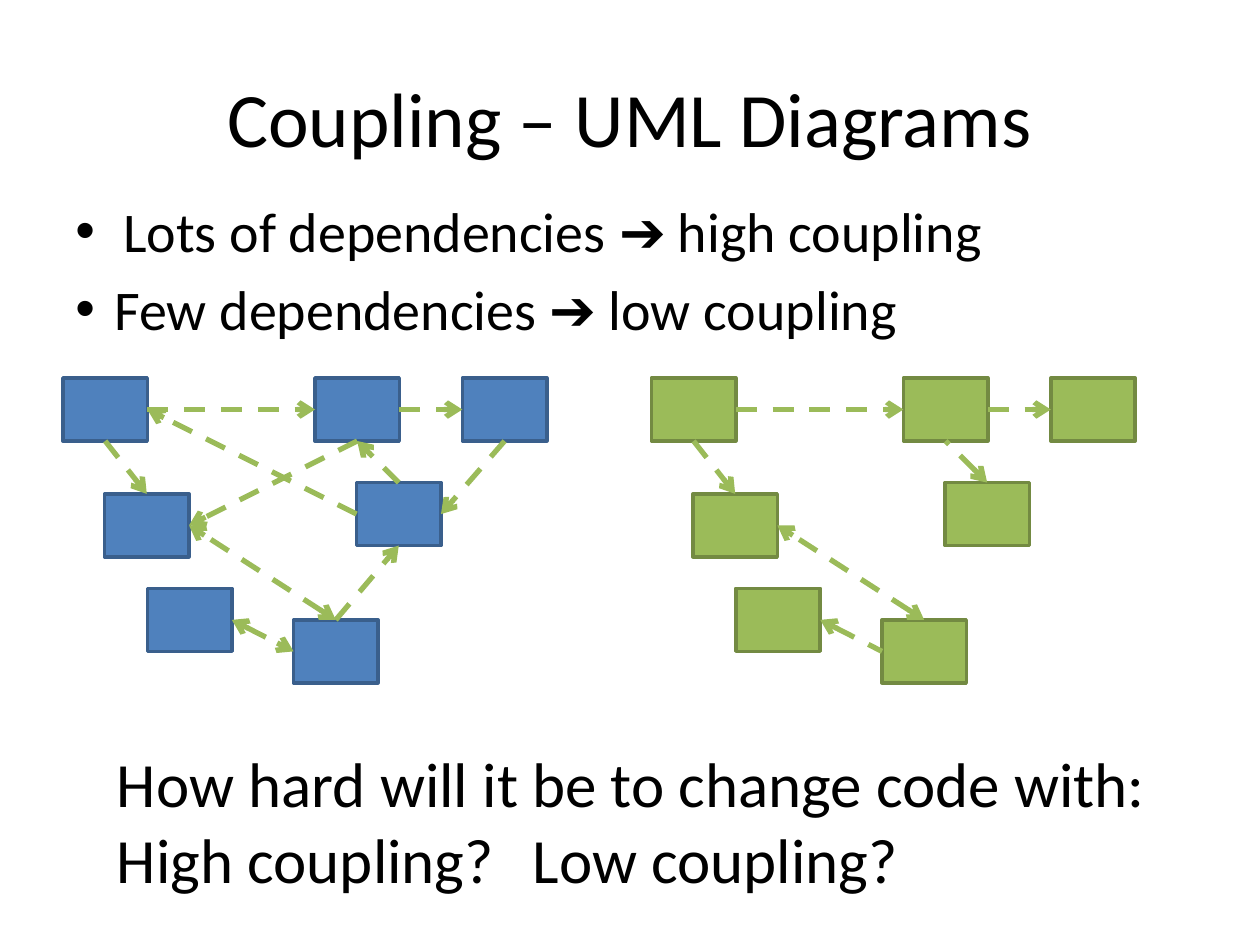
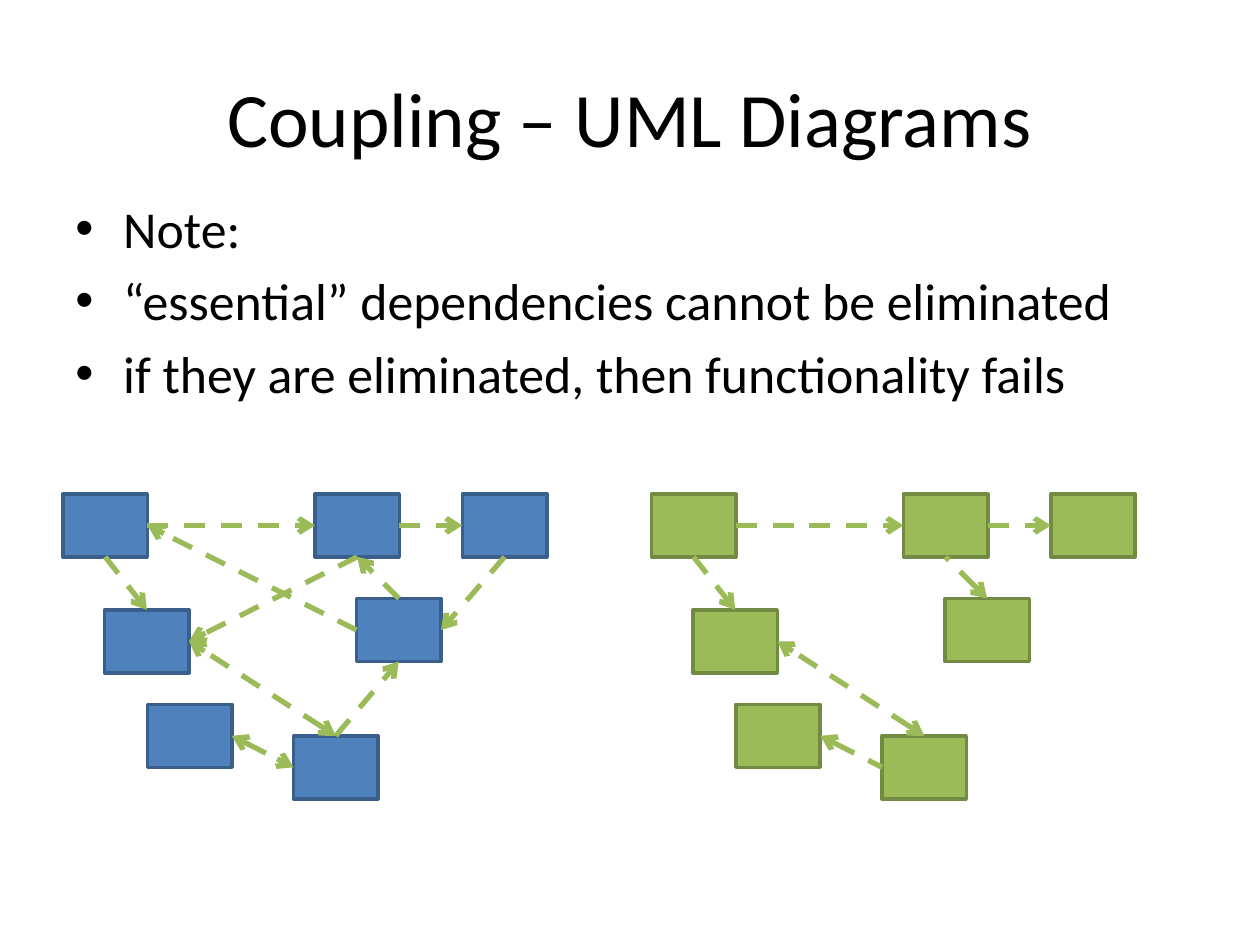
from typing import NamedTuple

from lxml import etree
from pptx import Presentation
from pptx.dml.color import RGBColor
from pptx.enum.dml import MSO_LINE
from pptx.enum.shapes import MSO_CONNECTOR, MSO_SHAPE
from pptx.enum.text import MSO_ANCHOR, PP_ALIGN
from pptx.oxml.ns import qn
from pptx.util import Inches, Pt

RECT = MSO_SHAPE.RECTANGLE
STRAIGHT = MSO_CONNECTOR.STRAIGHT
DASH = MSO_LINE.DASH
MIDDLE = MSO_ANCHOR.MIDDLE
CENTER = PP_ALIGN.CENTER
TOP, LEFT, BOTTOM, RIGHT = range(4)
HEAD, TAIL = ("headEnd",), ("tailEnd",)
BOTH = HEAD + TAIL

FONT = "Calibri"
BLACK, ARROW_GREEN = "000000", "9BBB59"
TITLE = "Coupling – UML Diagrams"
BOX_W, BOX_H = 0.67, 0.5
CLASS_BOXES = {
    "corner": (0, 0),
    "left": (0.33, 0.92),
    "base": (1.83, 1.92),
    "leaf": (0.67, 1.67),
    "hub": (2, 0),
    "right": (2.33, 0.83),
    "far": (3.17, 0),
}


class Dependency(NamedTuple):
    start: str
    start_side: int
    end: str
    end_side: int
    arrows: tuple = TAIL


class Diagram(NamedTuple):
    left: float
    fill: str
    border: str
    dependencies: list


class Bullet(NamedTuple):
    text: str
    indent: float = 0.38


SHARED = [
    Dependency("corner", RIGHT, "hub", LEFT),
    Dependency("corner", BOTTOM, "left", TOP),
    Dependency("base", TOP, "left", RIGHT, BOTH),
    Dependency("hub", RIGHT, "far", LEFT),
]
HIGH_COUPLING = Diagram(0.5, "4F81BD", "3A5F8C", SHARED + [
    Dependency("hub", BOTTOM, "left", RIGHT),
    Dependency("leaf", RIGHT, "base", LEFT, BOTH),
    Dependency("base", TOP, "right", BOTTOM),
    Dependency("far", BOTTOM, "right", RIGHT),
    Dependency("right", TOP, "hub", BOTTOM),
    Dependency("right", LEFT, "corner", RIGHT),
])
LOW_COUPLING = Diagram(5.17, "9BBB59", "738A42", SHARED + [
    Dependency("leaf", RIGHT, "base", LEFT, HEAD),
    Dependency("right", TOP, "hub", BOTTOM, HEAD),
])


def rgb(color: str) -> RGBColor:
    return RGBColor.from_string(color)


def add_run(p, text: str, size: float) -> None:
    r = p.add_run()
    r.text = text
    r.font.name = FONT
    r.font.size = Pt(size)
    r.font.color.rgb = rgb(BLACK)


def add_text_box(s, left: float, top: float, width: float, height: float):
    sp = s.shapes.add_textbox(Inches(left), Inches(top), Inches(width), Inches(height))
    sp.text_frame.word_wrap = True
    return sp.text_frame


def next_paragraph(tf, index: int):
    return tf.add_paragraph() if index else tf.paragraphs[0]


def add_title(s) -> None:
    sp = s.shapes.title
    sp.left, sp.top, sp.width, sp.height = map(Inches, (0.5, 0.3, 9, 1.25))
    tf = sp.text_frame
    tf.vertical_anchor = MIDDLE
    p = tf.paragraphs[0]
    p.alignment = CENTER
    add_run(p, TITLE, 44)


def add_bullets(s, bullets: list[Bullet], size: float) -> None:
    tf = add_text_box(s, 0.5, 1.51, 9, 4.95)
    for i, bullet in enumerate(bullets):
        p = next_paragraph(tf, i)
        pPr = p._p.get_or_add_pPr()
        pPr.set("marL", str(Inches(bullet.indent)))
        pPr.set("indent", str(-Inches(bullet.indent)))
        etree.SubElement(pPr, qn("a:buFont"), typeface="Arial")
        etree.SubElement(pPr, qn("a:buChar"), char="•")
        if i:
            p.space_before = Pt(round(size * 0.2, 1))
        add_run(p, bullet.text, size)


def add_class_box(s, left: float, top: float, diagram: Diagram):
    sp = s.shapes.add_shape(RECT, Inches(left), Inches(top), Inches(BOX_W), Inches(BOX_H))
    sp.shadow.inherit = False
    sp.fill.solid()
    sp.fill.fore_color.rgb = rgb(diagram.fill)
    sp.line.color.rgb = rgb(diagram.border)
    sp.line.width = Pt(2)
    return sp


def add_dependency(s, boxes: dict, dep: Dependency) -> None:
    cxn = s.shapes.add_connector(STRAIGHT, 0, 0, 0, 0)
    cxn.begin_connect(boxes[dep.start], dep.start_side)
    cxn.end_connect(boxes[dep.end], dep.end_side)
    cxn.line.color.rgb = rgb(ARROW_GREEN)
    cxn.line.width = Pt(3)
    cxn.line.dash_style = DASH
    spPr = cxn._element.spPr
    ln = spPr.find(qn("a:ln"))
    for arrow in dep.arrows:
        etree.SubElement(ln, qn(f"a:{arrow}"), type="arrow")
    etree.SubElement(spPr, qn("a:effectLst"))


def add_diagram(s, diagram: Diagram, top: float) -> None:
    boxes = {
        name: add_class_box(s, diagram.left + dx, top + dy, diagram)
        for name, (dx, dy) in CLASS_BOXES.items()
    }
    for dep in diagram.dependencies:
        add_dependency(s, boxes, dep)


def add_coupling_slide(prs, bullets: list[Bullet], size: float, diagram_top: float):
    s = prs.slides.add_slide(prs.slide_layouts[5])
    add_title(s)
    add_bullets(s, bullets, size)
    for diagram in (HIGH_COUPLING, LOW_COUPLING):
        add_diagram(s, diagram, diagram_top)
    return s


def add_question(s) -> None:
    tf = add_text_box(s, 0.83, 5.86, 8.67, 1.31)
    lines = ("How hard will it be to change code with:", "High coupling?\tLow coupling?")
    for i, line in enumerate(lines):
        p = next_paragraph(tf, i)
        tabs = etree.SubElement(p._p.get_or_add_pPr(), qn("a:tabLst"))
        etree.SubElement(tabs, qn("a:tab"), pos=str(Inches(3.3)), algn="l")
        add_run(p, line, 36)


def main() -> None:
    prs = Presentation()
    prs.slide_width, prs.slide_height = Inches(10), Inches(7.5)
    s = add_coupling_slide(prs, [
        Bullet("Lots of dependencies ➔ high coupling"),
        Bullet("Few dependencies ➔ low coupling", 0.31),
    ], 32, 3)
    add_question(s)
    add_coupling_slide(prs, [
        Bullet("Note:"),
        Bullet("“essential” dependencies cannot be eliminated"),
        Bullet("if they are eliminated, then functionality fails"),
    ], 29.6, 3.92)
    prs.save("out.pptx")


if __name__ == "__main__":
    main()
